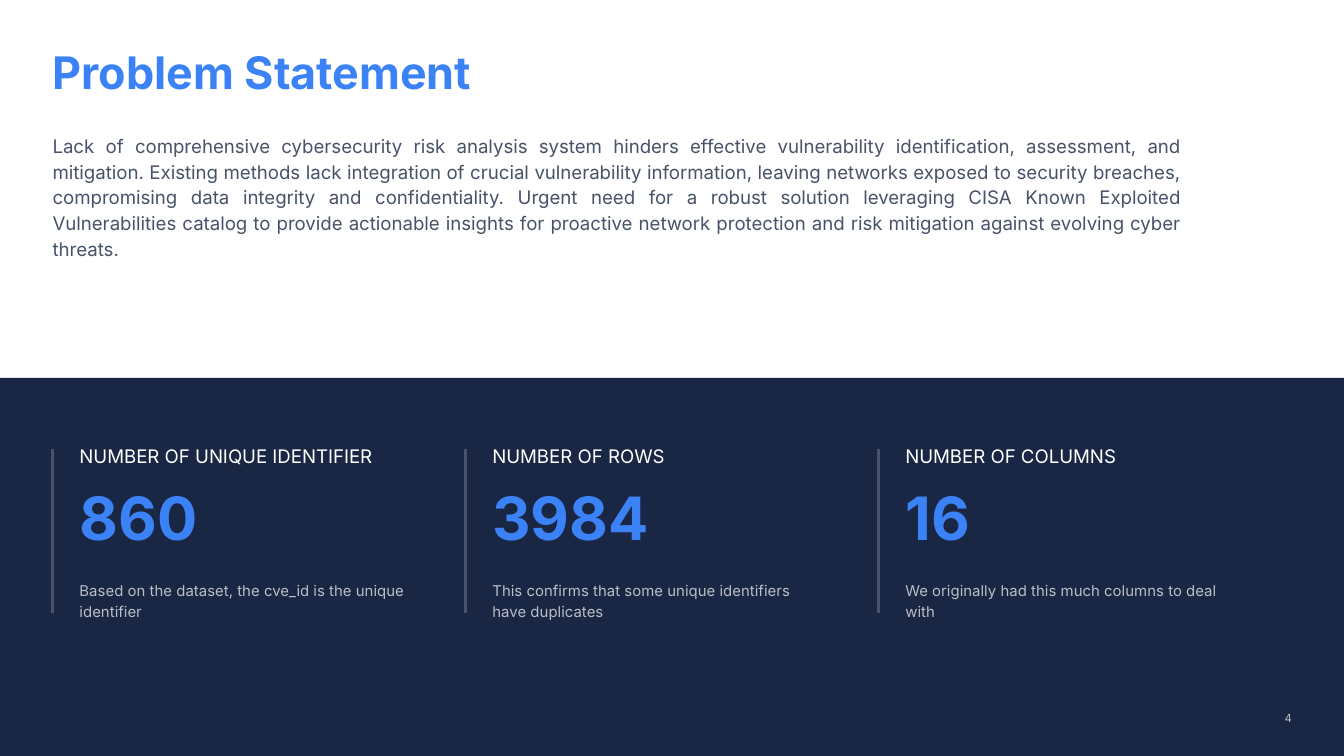
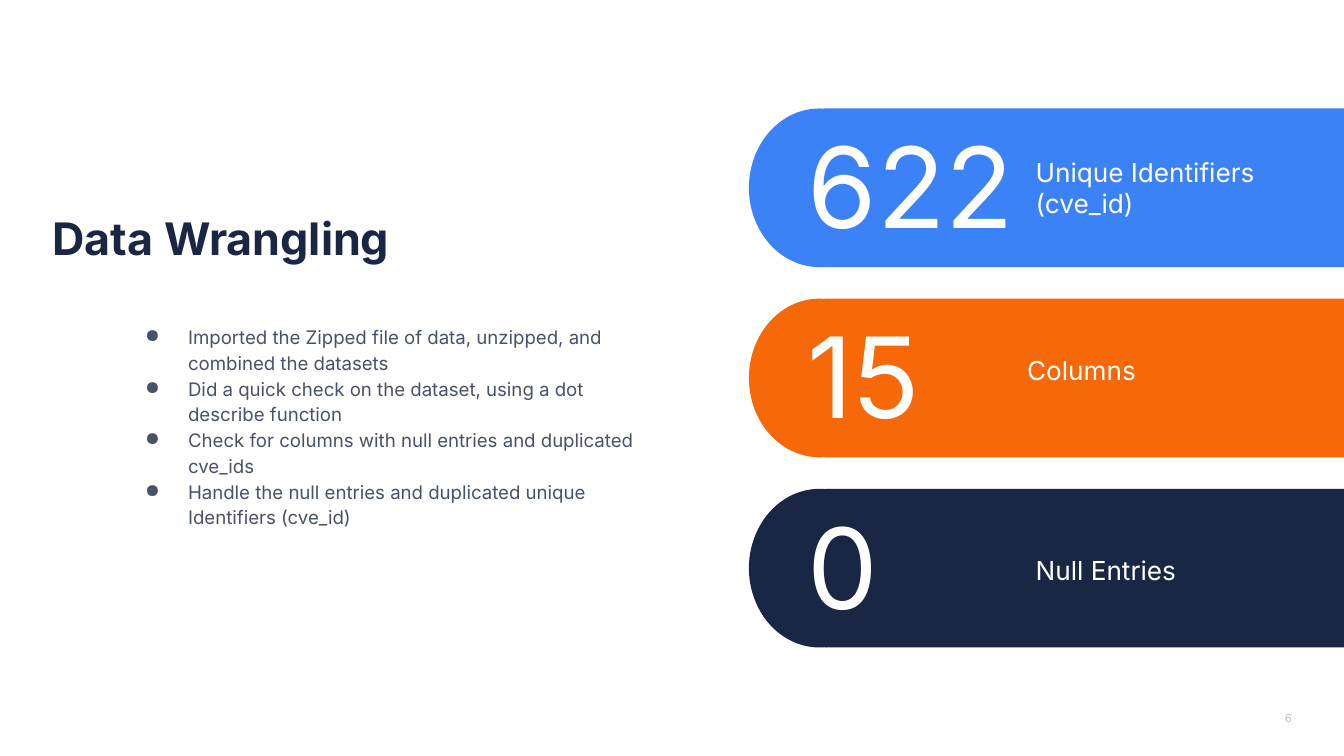
import pptx
import pptx.util
import pptx.dml.color
import pptx.enum.shapes
import pptx.enum.text
import lxml.etree
import pptx.oxml.ns

Pt = pptx.util.Pt
SHAPES = pptx.enum.shapes.MSO_SHAPE
ALIGN = pptx.enum.text.PP_ALIGN
ANCHOR = pptx.enum.text.MSO_ANCHOR
FIT = pptx.enum.text.MSO_AUTO_SIZE
qname = pptx.oxml.ns.qn

COLORS = {
    "white": "FFFFFF",
    "navy": "1A2744",
    "blue": "3B82F6",
    "orange": "F76808",
    "slate": "485269",
    "silver": "BABEC7",
}
RGB = {name: pptx.dml.color.RGBColor.from_string(code) for name, code in COLORS.items()}

# Text styles: font, paragraph and frame values; insets are left, top, right, bottom
STYLES = {
    "title": {"font": {"size": Pt(24), "bold": True},
              "para": {"line_spacing": 0.85}, "insets": (0, 0, 0, 3)},
    "body": {"font": {"size": Pt(10)}, "color": "slate",
             "para": {"line_spacing": 1.15}, "insets": (0, 0, 28, 0)},
    "label": {"font": {"size": Pt(10)}, "color": "white"},
    "figure": {"font": {"size": Pt(32), "bold": True}, "color": "blue",
               "para": {"line_spacing": 0.8}, "insets": (0, 14.4, 0, 0)},
    "note": {"font": {"size": Pt(8)}, "color": "silver",
             "para": {"line_spacing": 1.15}, "insets": (0, 14.4, 28, 0)},
    "big figure": {"font": {"size": Pt(60)}, "color": "white",
                   "para": {"line_spacing": 0.85}},
    "big label": {"font": {"size": Pt(14)}, "color": "white", "insets": (6, 0, 0, 0)},
    "page number": {"font": {"size": Pt(6)}, "color": "silver",
                    "para": {"alignment": ALIGN.RIGHT}, "insets": (7.2, 7.2, 7.2, 7.2),
                    "frame": {"auto_size": FIT.NONE, "vertical_anchor": ANCHOR.MIDDLE}},
}
MARGIN = 28.2


def add_text(page, place, lines, style_name, color=None):
    style = STYLES[style_name]
    box = page.shapes.add_textbox(*map(Pt, place))
    frame = box.text_frame
    insets = style.get("insets", (0, 0, 0, 0))
    sides = ("margin_left", "margin_top", "margin_right", "margin_bottom")
    values = {"word_wrap": True, "auto_size": FIT.SHAPE_TO_FIT_TEXT,
              **dict(zip(sides, map(Pt, insets))), **style.get("frame", {})}
    for name, value in values.items():
        setattr(frame, name, value)
    for index, line in enumerate(lines):
        para = frame.paragraphs[0] if index == 0 else frame.add_paragraph()
        for name, value in style.get("para", {}).items():
            setattr(para, name, value)
        span = para.add_run()
        span.text = line
        for name, value in {"name": "Inter", **style["font"]}.items():
            setattr(span.font, name, value)
        span.font.color.rgb = RGB[color or style["color"]]
    return box


def add_block(page, kind, place, color):
    block = page.shapes.add_shape(kind, *map(Pt, place))
    block.shadow.inherit = False
    block.fill.solid()
    block.fill.fore_color.rgb = RGB[color]
    block.line.fill.background()


deck = pptx.Presentation()
deck.slide_width, deck.slide_height = Pt(720), Pt(405)
blank = deck.slide_layouts[6]

# Problem statement
page = deck.slides.add_slide(blank)
add_block(page, SHAPES.RECTANGLE, (0, 202.5, 720, 202.5), "navy")
add_text(page, (MARGIN, 28.2, 331, 27.4), ["Problem Statement"], "title", "blue")
statement = add_text(page, (MARGIN, 70.4, 632, 67.7), [
    "Lack of comprehensive cybersecurity risk analysis system hinders effective "
    "vulnerability identification, assessment, and mitigation. Existing methods lack "
    "integration of crucial vulnerability information, leaving networks exposed to "
    "security breaches, compromising data integrity and confidentiality. Urgent need "
    "for a robust solution leveraging CISA Known Exploited Vulnerabilities catalog to "
    "provide actionable insights for proactive network protection and risk mitigation "
    "against evolving cyber threats."], "body")
statement.text_frame.paragraphs[0].alignment = ALIGN.JUSTIFY

# Three dataset counts, each beside a vertical rule
counts = [
    ("NUMBER OF UNIQUE IDENTIFIER", "860",
     "Based on the dataset, the cve_id is the unique identifier"),
    ("NUMBER OF ROWS", "3984",
     "This confirms that some unique identifiers have duplicates"),
    ("NUMBER OF COLUMNS", "16",
     "We originally had this much columns to deal with"),
]
for column, (label, figure, note) in enumerate(counts):
    rule_left = MARGIN + column * 221.2
    text_left = rule_left + 14.4
    add_text(page, (text_left, 238.3, 206.6, 12.2), [label], "label")
    add_text(page, (text_left, 250.5, 206.6, 45.4), [figure], "figure")
    add_text(page, (text_left, 295.9, 206.6, 35.3), [note], "note")
    rule = page.shapes.add_connector(
        pptx.enum.shapes.MSO_CONNECTOR.STRAIGHT,
        Pt(rule_left), Pt(240.5), Pt(rule_left), Pt(328.3))
    rule.line.color.rgb = RGB["slate"]
    rule.line.width = Pt(1.5)
    lxml.etree.SubElement(rule._element.spPr, qname("a:effectLst"))

# Data wrangling
page = deck.slides.add_slide(blank)
add_text(page, (MARGIN, 117.4, 332, 27.4), ["Data Wrangling"], "title", "navy")
steps = add_text(page, (64.8, 172.8, 312.5, 109.4), [
    "Imported the Zipped file of data, unzipped, and combined the datasets",
    "Did a quick check on the dataset, using a dot describe function",
    "Check for columns with null entries and duplicated cve_ids",
    "Handle the null entries and duplicated unique Identifiers (cve_id)",
], "body")
for para in steps.text_frame.paragraphs:
    props = para._p.get_or_add_pPr()
    props.set("marL", str(Pt(36)))
    props.set("indent", str(-Pt(23)))
    tint = lxml.etree.SubElement(props, qname("a:buClr"))
    lxml.etree.SubElement(tint, qname("a:srgbClr"), val=COLORS["slate"])
    lxml.etree.SubElement(props, qname("a:buChar"), char="●")

# Three bands with a rounded left end; labels have their own left, top and height
bands = [
    ("blue", "622", "Unique Identifiers (cve_id)", (548.8, 83.6, 33.9)),
    ("orange", "15", "Columns", (544.2, 190, 17)),
    ("navy", "0", "Null Entries", (548.8, 296.8, 17)),
]
for row, (color, figure, label, (left, top, height)) in enumerate(bands):
    band_top = 58.1 + row * 101.9
    add_block(page, SHAPES.OVAL, (401.2, band_top, 75.6, 85), color)
    add_block(page, SHAPES.RECTANGLE, (442, band_top, 278, 85), color)
    add_text(page, (432.7, band_top + 15.5, 116.6, 61.9), [figure], "big figure")
    add_text(page, (left, top, 146, height), [label], "big label")

# Page numbers
for page, number in zip(deck.slides, ("4", "6")):
    add_text(page, (656, 369.2, 43.2, 31), [number], "page number")

deck.save("out.pptx")
